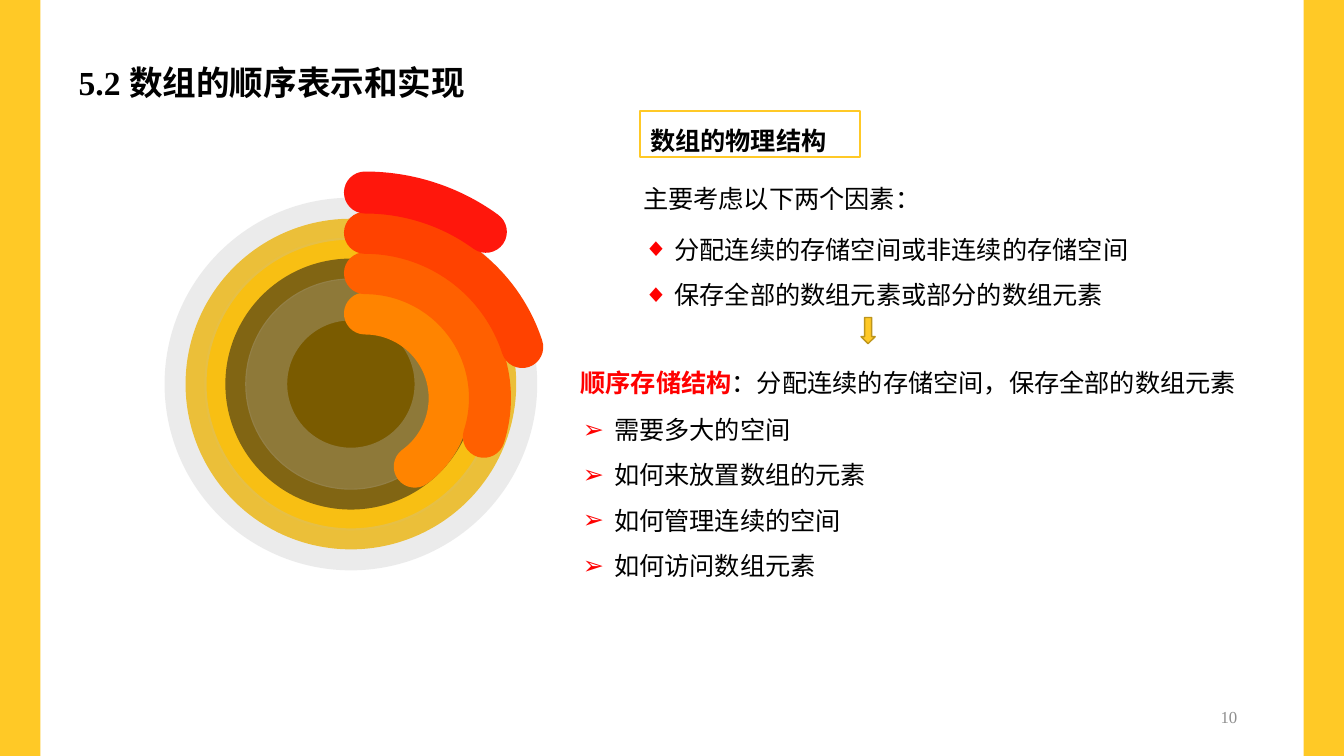
from lxml.etree import SubElement as Sub
from pptx import Presentation
from pptx.dml.color import RGBColor
from pptx.enum.shapes import MSO_SHAPE as Shape
from pptx.enum.text import MSO_ANCHOR as Anchor, MSO_AUTO_SIZE as Auto, PP_ALIGN as Align
from pptx.oxml.ns import qn
from pptx.util import Inches, Pt

GOLD = RGBColor(0xFF, 0xC9, 0x26)
BROWN = RGBColor(0xBD, 0x95, 0x1C)
AMBER = RGBColor(0xFF, 0xC0, 0x00)
SILVER = RGBColor(0xBF, 0xBF, 0xBF)
GRAY = RGBColor(0x8E, 0x8E, 0x8E)
BLACK = RGBColor(0, 0, 0)
RED = RGBColor(0xFF, 0, 0)
ARCS = [RGBColor(0xFF, 0x84, 0x00), RGBColor(0xFF, 0x60, 0x00),
        RGBColor(0xFF, 0x42, 0x00), RGBColor(0xFF, 0x17, 0x0C)]
RINGS = [(3.28, AMBER, 100, 30), (2.49, BLACK, 52, 10), (1.68, None, 100, 30)]

FACTORS = ["分配连续的存储空间或非连续的存储空间", "保存全部的数组元素或部分的数组元素"]
TASKS = ["需要多大的空间", "如何来放置数组的元素", "如何管理连续的空间", "如何访问数组元素"]


def apply(target, values):
    """Set each named value on the target."""
    for name, value in values.items():
        setattr(target, name, value)


def place(shape, left, top, width, height):
    """Move and size a shape in inches."""
    apply(shape, {"left": Inches(left), "top": Inches(top),
                  "width": Inches(width), "height": Inches(height)})


def fade(part, alpha):
    """Give the solid colour of a fill or line an opacity in percent."""
    color = part.find(".//" + qn("a:srgbClr"))
    Sub(color, qn("a:alpha"), val=str(alpha * 1000))


def draw(slide, kind, box, fill=None, line=None, width=1):
    """Add a preset shape with plain fill and line."""
    shape = slide.shapes.add_shape(kind, *map(Inches, box))
    shape.shadow.inherit = False
    if fill is None:
        shape.fill.background()
    else:
        shape.fill.solid()
        shape.fill.fore_color.rgb = fill
    if line is None:
        shape.line.fill.background()
    else:
        shape.line.color.rgb = line
        shape.line.width = Pt(width)
    return shape


def ring(slide, size, fill, depth, alpha):
    """Add a disc with a wide translucent rim."""
    box = (3.48 - size / 2, 3.81 - size / 2, size, size)
    disc = draw(slide, Shape.OVAL, box, fill, SILVER, 30)
    if depth < 100:
        fade(disc.fill._xPr.find(qn("a:solidFill")), depth)
    fade(disc.line._ln, alpha)


def sweep(slide, size, end, color):
    """Add a round-capped arc from twelve o'clock to an angle in degrees."""
    box = (3.62 - size / 2, 3.95 - size / 2, size, size)
    arc = draw(slide, Shape.ARC, box, None, color, 30)
    arc.adjustments[0] = 270 * 0.6
    arc.adjustments[1] = end * 0.6
    arc.line._ln.set("cap", "rnd")


def write(para, runs, size=18, space=1.3, align=Align.LEFT):
    """Fill a paragraph with runs of text, colour and weight."""
    apply(para, {"line_spacing": space, "alignment": align, "space_before": Pt(0)})
    for text, color, bold in runs:
        run = para.add_run()
        run.text = text
        apply(run.font, {"name": "Times New Roman", "size": Pt(size), "bold": bold})
        run.font.color.rgb = color


def setup(shape, anchor=Anchor.TOP, fit=Auto.SHAPE_TO_FIT_TEXT):
    """Prepare a text frame and return its first paragraph."""
    frame = shape.text_frame
    apply(frame, {"word_wrap": True, "vertical_anchor": anchor, "auto_size": fit})
    return frame.paragraphs[0]


def label(slide, box, runs, anchor=Anchor.TOP, fit=Auto.SHAPE_TO_FIT_TEXT, **style):
    """Add a text box of one paragraph."""
    shape = slide.shapes.add_textbox(*map(Inches, box))
    write(setup(shape, anchor, fit), runs, **style)


def listing(holder, box, items, mark):
    """Fill a body placeholder with bulleted items."""
    place(holder, *box)
    first = setup(holder)
    for item in items:
        para = first if item == items[0] else holder.text_frame.add_paragraph()
        props = para._p.get_or_add_pPr()
        props.set("marL", str(Inches(0.31)))
        props.set("indent", str(-Inches(0.31)))
        Sub(Sub(props, qn("a:buClr")), qn("a:srgbClr"), val=str(RED))
        Sub(props, qn("a:buChar"), char=mark)
        write(para, [(item, BLACK, False)], space=1.5)


def main():
    """Build the slide and save it."""
    deck = Presentation()
    apply(deck, {"slide_width": Inches(13.33), "slide_height": Inches(7.5)})
    slide = deck.slides.add_slide(deck.slide_layouts[3])
    title, upper, lower = slide.placeholders

    for left in (0, 12.93):
        draw(slide, Shape.RECTANGLE, (left, 0, 0.4, 7.5), GOLD)
    for spec_row in RINGS:
        ring(slide, *spec_row)
    for i, color in enumerate(ARCS):
        sweep(slide, 1.68 + 0.8 * i, (54 - 36 * i) % 360, color)

    place(title, 0.68, 0.44, 11.97, 0.94)
    write(setup(title, fit=Auto.NONE), [("5.2 数组的顺序表示和实现", BLACK, True)], size=24)

    head = draw(slide, Shape.RECTANGLE, (6.35, 1.1, 2.18, 0.46), None, GOLD, 1.5)
    write(setup(head), [("数组的物理结构", BLACK, True)], align=Align.JUSTIFY)
    label(slide, (6.28, 1.68, 3.56, 0.46),
          [("主要考虑以下两个因素：", BLACK, False)], align=Align.JUSTIFY)
    listing(upper, (6.28, 2.12, 5.21, 0.96), FACTORS, "◆")
    draw(slide, Shape.DOWN_ARROW, (8.54, 3.15, 0.14, 0.26), GOLD, BROWN)
    label(slide, (5.66, 3.44, 7, 0.5),
          [("顺序存储结构", RED, True),
           ("：分配连续的存储空间，保存全部的数组元素", BLACK, False)], space=1.5)
    listing(lower, (5.68, 3.91, 5.21, 1.86), TASKS, "➢")
    label(slide, (9.42, 6.94, 2.95, 0.35), [("10", GRAY, False)],
          Anchor.MIDDLE, Auto.NONE, size=12, space=1, align=Align.RIGHT)
    deck.save("out.pptx")


if __name__ == "__main__":
    main()
